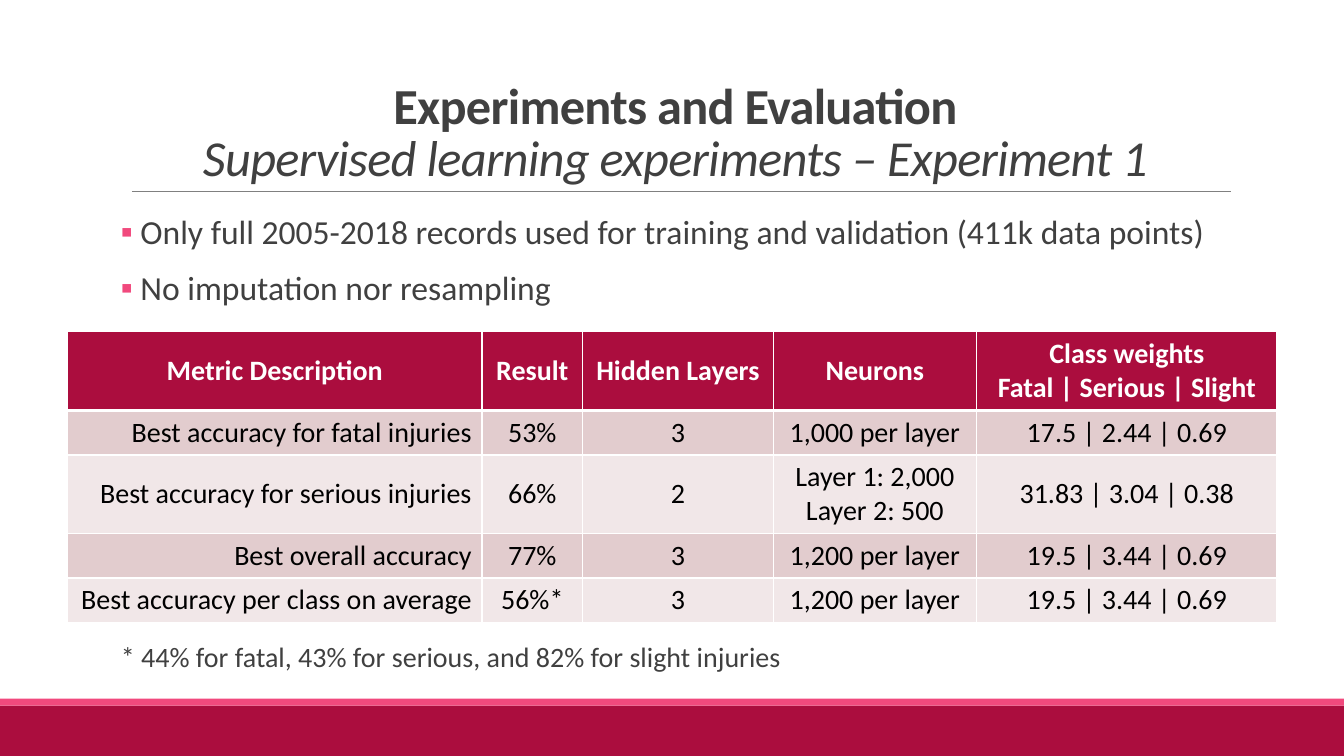
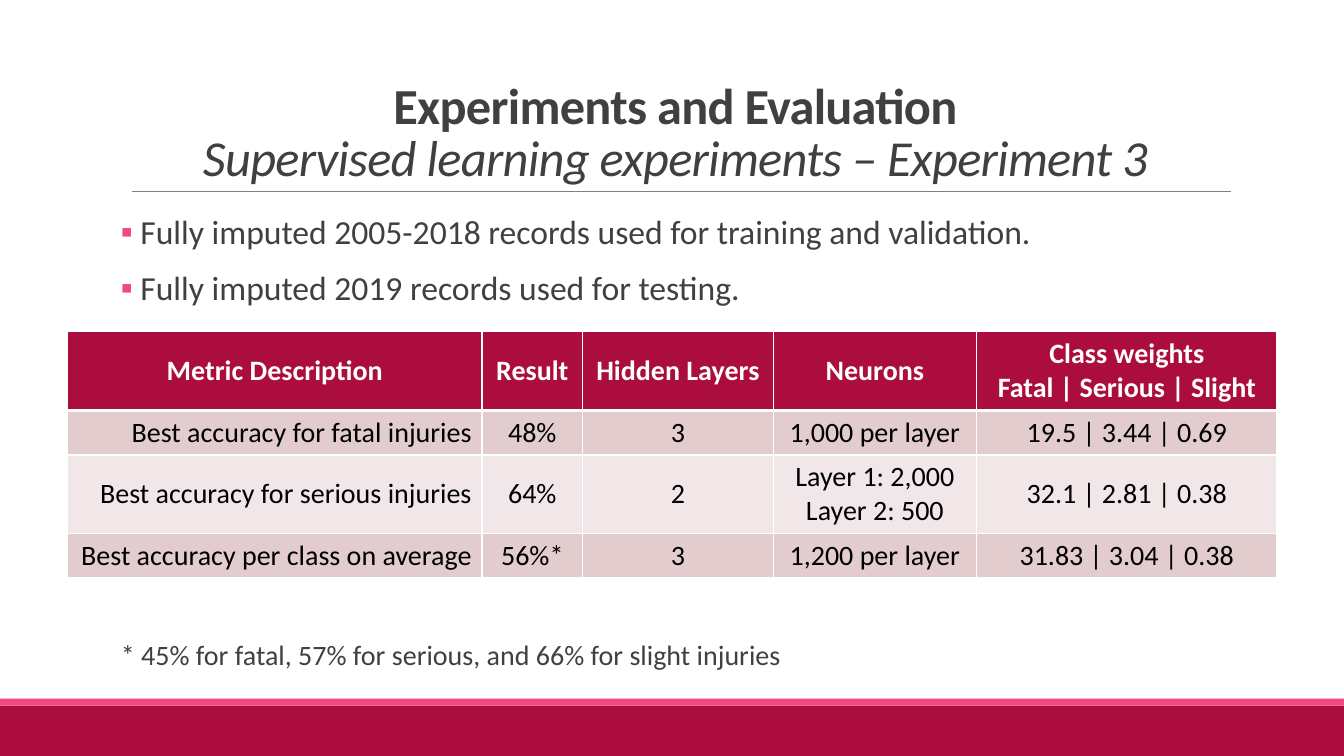
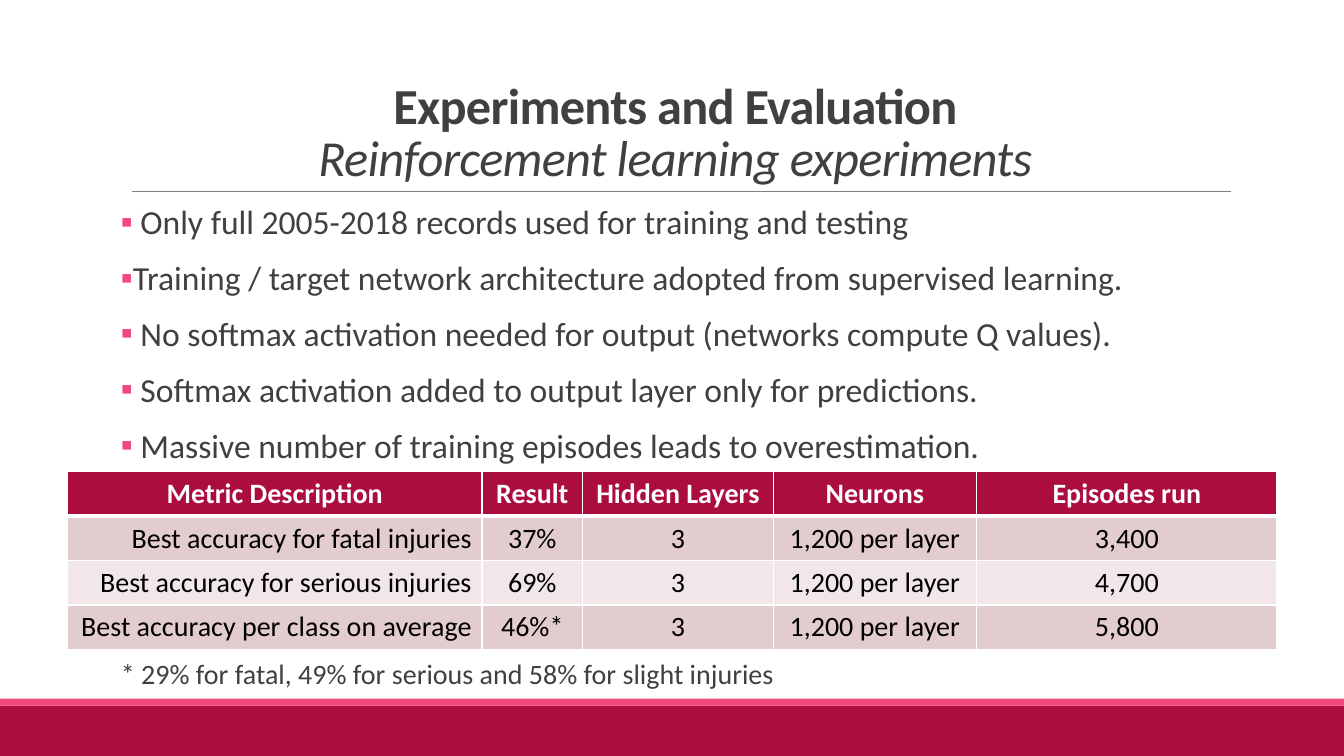
"""Builds three slides on learning experiments, each with a list, a results table and a footnote."""
from lxml.etree import SubElement
from pptx import Presentation
from pptx.dml.color import RGBColor
from pptx.enum.shapes import MSO_CONNECTOR, MSO_SHAPE
from pptx.enum.text import MSO_ANCHOR as Anchor, MSO_AUTO_SIZE, PP_ALIGN as Align
from pptx.oxml import parse_xml
from pptx.oxml.ns import nsdecls, qn
from pptx.util import Pt

FONT = "Calibri"
COLORS = {
    "crimson": "AB0D3E", "pink": "F1497D", "rule": "808080", "text": "404040",
    "white": "FFFFFF", "black": "000000", "odd_row": "E2CCCE", "even_row": "F1E7E8",
}
PAGE_WIDTH, PAGE_HEIGHT = 960, 540
LEFT, WIDTH = 86.4, 792
TABLE_LEFT = 48.25
COLUMNS = [296, 72, 136, 145.5, 214.5]
ROW_HEIGHT, EXTRA_LINE = 29.5, 18
THIN, THICK = 0.96, 3

HEADINGS = ["Metric Description", "Result", "Hidden Layers", "Neurons"]
WEIGHTS = "Class weights\nFatal | Serious | Slight"
FATAL = "Best accuracy for fatal injuries"
SERIOUS = "Best accuracy for serious injuries"
OVERALL = "Best overall accuracy"
AVERAGE = "Best accuracy per class on average"
SMALL, LARGE = "1,000 per layer", "1,200 per layer"
TWO_LAYERS = "Layer 1: 2,000\nLayer 2: 500"

SLIDES = [
    {
        "subtitle": "Supervised learning experiments – Experiment 1",
        "list_box": (LEFT, 150.5, WIDTH, 79),
        "points": [
            " Only full 2005-2018 records used for training and validation (411k data points)",
            " No imputation nor resampling",
        ],
        "table_top": 237,
        "last_heading": WEIGHTS,
        "rows": [
            [FATAL, "53%", "3", SMALL, "17.5 | 2.44 | 0.69"],
            [SERIOUS, "66%", "2", TWO_LAYERS, "31.83 | 3.04 | 0.38"],
            [OVERALL, "77%", "3", LARGE, "19.5 | 3.44 | 0.69"],
            [AVERAGE, "56%*", "3", LARGE, "19.5 | 3.44 | 0.69"],
        ],
        "note_top": 455.75,
        "note": "* 44% for fatal, 43% for serious, and 82% for slight injuries",
    },
    {
        "subtitle": "Supervised learning experiments – Experiment 3",
        "list_box": (LEFT, 150.5, WIDTH, 66),
        "points": [
            " Fully imputed 2005-2018 records used for training and validation.",
            " Fully imputed 2019 records used for testing.",
        ],
        "table_top": 237,
        "last_heading": WEIGHTS,
        "rows": [
            [FATAL, "48%", "3", SMALL, "19.5 | 3.44 | 0.69"],
            [SERIOUS, "64%", "2", TWO_LAYERS, "32.1 | 2.81 | 0.38"],
            [AVERAGE, "56%*", "3", LARGE, "31.83 | 3.04 | 0.38"],
        ],
        "note_top": 454.25,
        "note": "* 45% for fatal, 57% for serious, and 66% for slight injuries",
    },
    {
        "subtitle": "Reinforcement learning experiments",
        "list_box": (LEFT, 143.25, WIDTH, 230.5),
        "points": [
            " Only full 2005-2018 records used for training and testing",
            "Training / target network architecture adopted from supervised learning.",
            " No softmax activation needed for output (networks compute Q values).",
            " Softmax activation added to output layer only for predictions.",
            " Massive number of training episodes leads to overestimation.",
        ],
        "table_top": 337,
        "last_heading": "Episodes run",
        "rows": [
            [FATAL, "37%", "3", LARGE, "3,400"],
            [SERIOUS, "69%", "3", LARGE, "4,700"],
            [AVERAGE, "46%*", "3", LARGE, "5,800"],
        ],
        "note_top": 468,
        "note": "* 29% for fatal, 49% for serious and 58% for slight injuries",
    },
]


def color(name):
    return RGBColor.from_string(COLORS[name])


def add_span(para, text, size, shade="text", bold=False, italic=False):
    span = para.add_run()
    span.text = text
    font = span.font
    font.name, font.size, font.bold, font.italic = FONT, Pt(size), bold, italic
    font.color.rgb = color(shade)


def place(box, bounds):
    box.left, box.top, box.width, box.height = map(Pt, bounds)


def prepare_frame(box, anchor):
    frame = box.text_frame
    frame.word_wrap = True
    frame.auto_size = MSO_AUTO_SIZE.NONE
    frame.vertical_anchor = anchor
    return frame


def set_body_spacing(para):
    para.line_spacing = 0.9
    para.space_before, para.space_after = Pt(12), Pt(2)


def add_bands(page):
    for shade, top, height in (("crimson", 504, 36), ("pink", 499, 5)):
        band = page.shapes.add_shape(
            MSO_SHAPE.RECTANGLE, 0, Pt(top), Pt(PAGE_WIDTH), Pt(height))
        band.shadow.inherit = False
        band.fill.solid()
        band.fill.fore_color.rgb = color(shade)
        band.line.fill.background()


def add_rule(page, left, top, right):
    rule = page.shapes.add_connector(
        MSO_CONNECTOR.STRAIGHT, Pt(left), Pt(top), Pt(right), Pt(top))
    rule.line.color.rgb = color("rule")
    rule.line.width = Pt(0.5)
    SubElement(rule.element.spPr, qn("a:effectLst"))


def fill_title(box, bounds, subtitle):
    place(box, bounds)
    para = prepare_frame(box, Anchor.BOTTOM).paragraphs[0]
    para.alignment = Align.CENTER
    para.line_spacing = 0.85
    add_span(para, "Experiments and Evaluation", 36, bold=True)
    para.add_line_break()
    add_span(para, subtitle, 36, italic=True)
    for properties in box.element.iter(qn("a:rPr")):
        properties.set("spc", "-50")


def fill_list(box, bounds, points):
    place(box, bounds)
    frame = prepare_frame(box, Anchor.TOP)
    frame.margin_left = frame.margin_right = 0
    for index, point in enumerate(points):
        para = frame.add_paragraph() if index else frame.paragraphs[0]
        para.alignment = Align.LEFT
        set_body_spacing(para)
        add_span(para, point, 24)
    for properties in box.element.iter(qn("a:pPr")):
        properties.set("marL", str(Pt(7.2)))
        properties.set("indent", str(-Pt(7.2)))
        bullet_color = SubElement(properties, qn("a:buClr"))
        SubElement(bullet_color, qn("a:srgbClr"), val=COLORS["pink"])
        SubElement(properties, qn("a:buFont"), typeface=FONT)
        SubElement(properties, qn("a:buChar"), char="▪")


def add_borders(properties, top, bottom):
    widths = {"lnL": THIN, "lnR": THIN, "lnT": top, "lnB": bottom}
    for index, (side, width) in enumerate(widths.items()):
        properties.insert(index, parse_xml(
            f'<a:{side} {nsdecls("a")} w="{Pt(width)}"><a:solidFill>'
            f'<a:srgbClr val="{COLORS["white"]}"/></a:solidFill></a:{side}>'))


def fill_cell(cell, text, align, fill, shade, bold):
    cell.vertical_anchor = Anchor.MIDDLE
    cell.fill.solid()
    cell.fill.fore_color.rgb = color(fill)
    para = cell.text_frame.paragraphs[0]
    para.alignment = align
    for index, line in enumerate(text.split("\n")):
        if index:
            para.add_line_break()
        add_span(para, line, 20, shade, bold)


def add_results(page, left, top, rows):
    heights = [ROW_HEIGHT + EXTRA_LINE * max(text.count("\n") for text in row) for row in rows]
    frame = page.shapes.add_table(
        len(rows), len(COLUMNS), Pt(left), Pt(top), Pt(sum(COLUMNS)), Pt(sum(heights)))
    table = frame.table
    table.horz_banding = False
    for column, width in zip(table.columns, COLUMNS):
        column.width = Pt(width)
    for row_index, row in enumerate(rows):
        table.rows[row_index].height = Pt(heights[row_index])
        header = row_index == 0
        fill = "crimson" if header else "odd_row" if row_index % 2 else "even_row"
        for column_index, text in enumerate(row):
            align = Align.CENTER if header or column_index else Align.RIGHT
            fill_cell(table.cell(row_index, column_index), text, align, fill,
                      "white" if header else "black", header)
    for row_index, row in enumerate(frame.element.iter(qn("a:tr"))):
        for properties in row.iter(qn("a:tcPr")):
            add_borders(properties, THICK if row_index == 1 else THIN,
                        THICK if row_index == 0 else THIN)


def add_note(page, bounds, text):
    box = page.shapes.add_textbox(*map(Pt, bounds))
    frame = prepare_frame(box, Anchor.TOP)
    frame.margin_left = frame.margin_right = 0
    para = frame.paragraphs[0]
    set_body_spacing(para)
    add_span(para, text, 20)


def add_experiment(deck, content):
    page = deck.slides.add_slide(deck.slide_layouts[1])
    add_bands(page)
    add_rule(page, 94.3, 136.8, 879.1)
    fill_title(page.shapes.title, (LEFT, 22.3, WIDTH, 114.5), content["subtitle"])
    fill_list(page.placeholders[1], content["list_box"], content["points"])
    header = HEADINGS + [content["last_heading"]]
    add_results(page, TABLE_LEFT, content["table_top"], [header] + content["rows"])
    add_note(page, (LEFT, content["note_top"], WIDTH, 34), content["note"])


def main():
    deck = Presentation()
    deck.slide_width, deck.slide_height = Pt(PAGE_WIDTH), Pt(PAGE_HEIGHT)
    for content in SLIDES:
        add_experiment(deck, content)
    deck.save("out.pptx")


if __name__ == "__main__":
    main()
